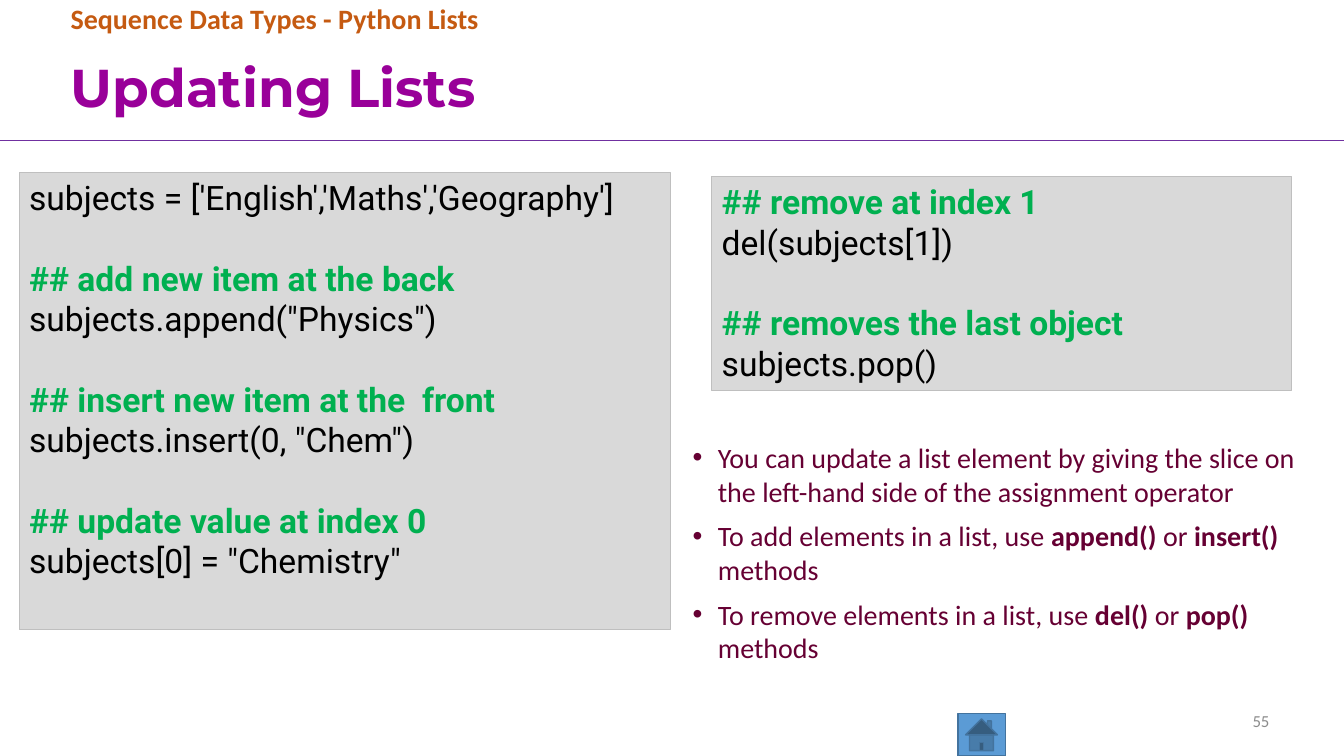
import pptx
import pptx.util
import pptx.dml.color
import pptx.enum.shapes
import pptx.enum.text
import pptx.oxml
import pptx.oxml.ns

Inches, Pt = pptx.util.Inches, pptx.util.Pt
RGBColor = pptx.dml.color.RGBColor
Shape = pptx.enum.shapes.MSO_SHAPE
Align = pptx.enum.text.PP_ALIGN
Anchor = pptx.enum.text.MSO_ANCHOR
Fit = pptx.enum.text.MSO_AUTO_SIZE

PURPLE = RGBColor(0x99, 0x00, 0x99)
ORANGE = RGBColor(0xC5, 0x5A, 0x11)
WINE = RGBColor(0x66, 0x00, 0x33)
GREEN = RGBColor(0x00, 0xB0, 0x50)
BLACK = RGBColor(0x00, 0x00, 0x00)
GRAY = RGBColor(0x8C, 0x8C, 0x8C)
PANEL = RGBColor(0xD9, 0xD9, 0xD9)
EDGE = RGBColor(0xBF, 0xBF, 0xBF)
VIOLET = RGBColor(0x70, 0x30, 0xA0)
BLUE = RGBColor(0x5B, 0x9B, 0xD5)
NAVY = RGBColor(0x43, 0x73, 0x9E)


class Page:
    """Holds the text styles and the current slide."""

    styles = {
        "title": dict(name="Montserrat", size=Pt(38), bold=True, color=PURPLE),
        "topic": dict(name="Calibri", size=Pt(20), bold=True, color=ORANGE),
        "point": dict(name="Calibri", size=Pt(20), bold=False, color=WINE),
        "strong": dict(name="Calibri", size=Pt(20), bold=True, color=WINE),
        "code": dict(name="Roboto", size=Pt(24), bold=False, color=BLACK),
        "note": dict(name="Roboto", size=Pt(24), bold=True, color=GREEN),
        "number": dict(name="Calibri", size=Pt(12), bold=False, color=GRAY),
    }

    def __init__(self, deck):
        self.slide = deck.slides.add_slide(deck.slide_layouts[3])
        self.shapes = self.slide.shapes

    def say(self, para, text, style):
        run = para.add_run()
        run.text = text
        for key, value in self.styles[style].items():
            if key == "color":
                run.font.color.rgb = value
            else:
                setattr(run.font, key, value)

    def frame(self, shape, anchor=Anchor.TOP):
        frame = shape.text_frame
        values = dict(word_wrap=True, auto_size=Fit.NONE, vertical_anchor=anchor)
        for key, value in values.items():
            setattr(frame, key, value)
        return frame

    def lines(self, frame, count):
        for _ in range(count - 1):
            frame.add_paragraph()
        for para in frame.paragraphs:
            para.alignment = Align.LEFT
            para.space_before = Pt(0)
        return frame.paragraphs

    def place(self, index, box, anchor=Anchor.TOP):
        holder = self.slide.placeholders[index]
        for key, value in zip(("left", "top", "width", "height"), box):
            setattr(holder, key, Inches(value))
        return self.frame(holder, anchor)

    def head(self, index, box, text, style, anchor=Anchor.TOP):
        para = self.lines(self.place(index, box, anchor), 1)[0]
        self.bullet(para, None)
        para.line_spacing = 0.9
        self.say(para, text, style)

    def bullet(self, para, char):
        props = para._p.get_or_add_pPr()
        indent = Inches(0.25) if char else 0
        props.set("marL", str(indent))
        props.set("indent", str(-indent))
        tag = "a:buChar" if char else "a:buNone"
        mark = pptx.oxml.parse_xml(f"<{tag} {pptx.oxml.ns.nsdecls('a')}/>")
        if char:
            mark.set("char", char)
        props.append(mark)

    def points(self, index, box, items):
        paras = self.lines(self.place(index, box), len(items))
        for row, (para, parts) in enumerate(zip(paras, items)):
            self.bullet(para, "•")
            para.space_before = Pt(8 if row else 0)
            for place, text in enumerate(parts):
                self.say(para, text, "strong" if place % 2 else "point")

    def block(self, kind, box, fill, edge, width):
        shape = self.shapes.add_shape(kind, *map(Inches, box))
        shape.shadow.inherit = False
        shape.fill.solid()
        shape.fill.fore_color.rgb = fill
        shape.line.color.rgb = edge
        shape.line.width = Pt(width)
        return shape

    def code(self, box, rows):
        frame = self.frame(self.block(Shape.RECTANGLE, box, PANEL, EDGE, 0.75))
        for row, para in enumerate(self.lines(frame, len(rows))):
            note = rows[row].startswith("##")
            # A comment opens a new group, one line below the last
            if note and row:
                para.space_before = Pt(28.8)
            self.say(para, rows[row], "note" if note else "code")

    def rule(self, top):
        line = self.shapes.add_connector(
            pptx.enum.shapes.MSO_CONNECTOR.STRAIGHT,
            0, Inches(top), Inches(13.33), Inches(top))
        line.line.color.rgb = VIOLET
        line.line.width = Pt(0.5)
        line._element.spPr.append(pptx.oxml.parse_xml(
            f"<a:effectLst {pptx.oxml.ns.nsdecls('a')}/>"))

    def number(self, box, text):
        label = self.shapes.add_textbox(*map(Inches, box))
        para = self.frame(label, Anchor.MIDDLE).paragraphs[0]
        para.alignment = Align.RIGHT
        self.say(para, text, "number")


def main():
    deck = pptx.Presentation()
    deck.slide_width, deck.slide_height = Inches(13.33), Inches(7.5)
    page = Page(deck)

    # Heading
    page.rule(1.39)
    page.head(0, (0.6, 0.41, 12.09, 0.97), "Updating Lists", "title", Anchor.MIDDLE)
    page.head(1, (0.6, 0, 10.34, 0.41), "Sequence Data Types - Python Lists", "topic")

    # Key points, with every second part in bold
    page.points(2, (6.77, 4.32, 6.33, 2.35), [
        ["You can update a list element by giving the slice on "
         "the left-hand side of the assignment operator"],
        ["To add elements in a list, use ", "append()", " or ", "insert() ", "methods"],
        ["To remove elements in a list, use ", "del()", " or ", "pop() ", "methods"],
    ])

    # Code panels
    page.code((0.19, 1.71, 6.46, 4.54), [
        "subjects = ['English','Maths','Geography']",
        "## add new item at the back",
        'subjects.append("Physics")',
        "## insert new item at the  front",
        'subjects.insert(0, "Chem")',
        "## update value at index 0",
        'subjects[0] = "Chemistry"',
    ])
    page.code((7.06, 1.75, 5.75, 2.12), [
        "## remove at index 1",
        "del(subjects[1])",
        "## removes the last object",
        "subjects.pop()",
    ])

    # Footer
    page.block(Shape.ACTION_BUTTON_HOME, (9.5, 7.08, 0.47, 0.42), BLUE, NAVY, 1)
    page.number((9.42, 6.95, 3.27, 0.4), "55")

    deck.save("out.pptx")


if __name__ == "__main__":
    main()
